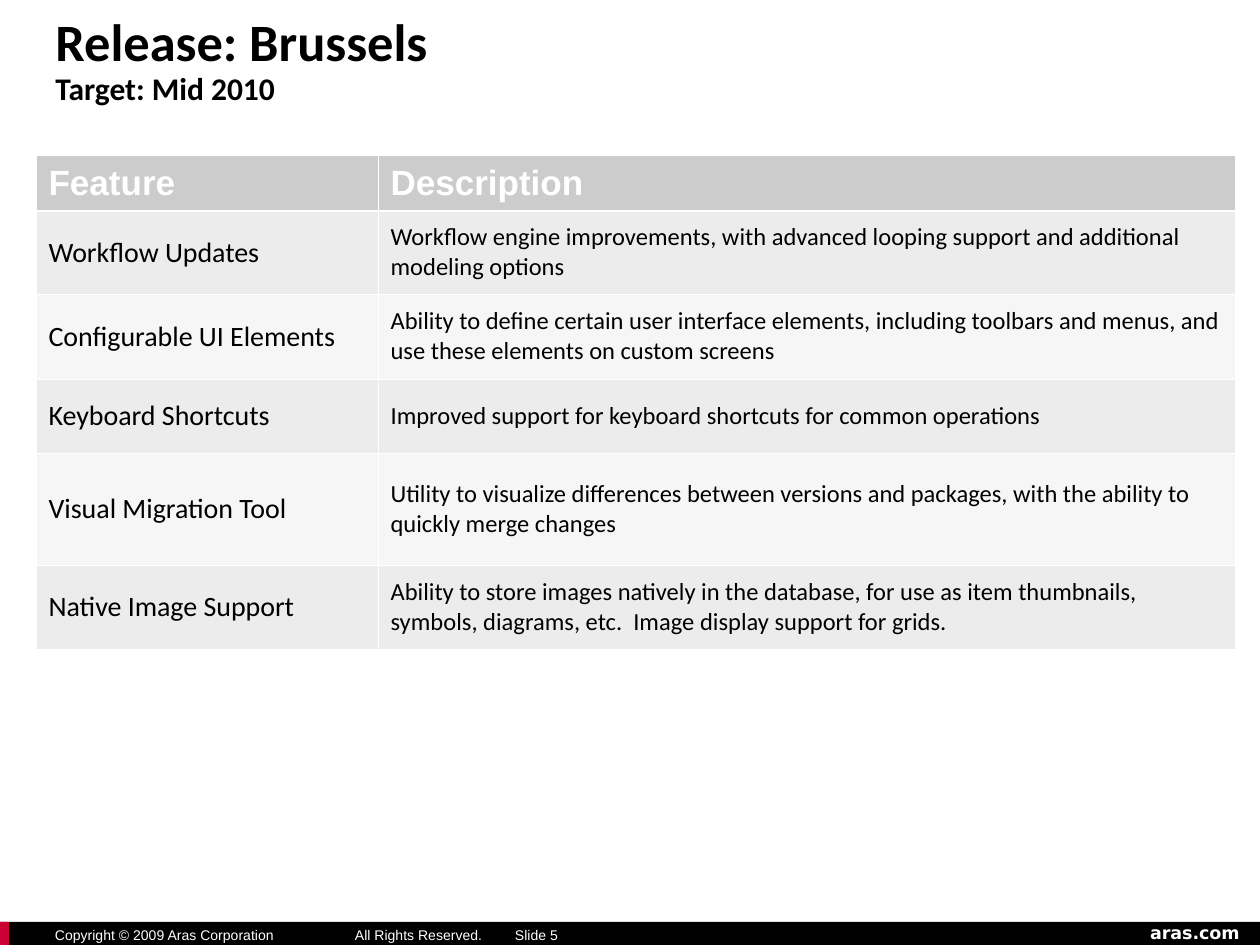
from lxml.etree import SubElement as Sub
from pptx import Presentation
from pptx.dml.color import RGBColor
from pptx.enum.shapes import MSO_SHAPE as Shape
from pptx.enum.text import MSO_ANCHOR as Anchor
from pptx.oxml.ns import qn
from pptx.util import Emu, Pt

WHITE = RGBColor(0xFF, 0xFF, 0xFF)
BLACK = RGBColor(0, 0, 0)
RED = RGBColor(0xCC, 0x00, 0x33)
HEAD = RGBColor(0xCC, 0xCC, 0xCC)
BANDS = [RGBColor(0xEC, 0xEC, 0xEC), RGBColor(0xF6, 0xF6, 0xF6)]

# Content
TITLE = [("Release: Brussels", 30), ("Target: Mid 2010", 18)]
ROWS = [
    ("Feature", "Description"),
    ("Workflow Updates",
     "Workflow engine improvements, with advanced looping support and "
     "additional modeling options"),
    ("Configurable UI Elements",
     "Ability to define certain user interface elements, including toolbars "
     "and menus, and use these elements on custom screens"),
    ("Keyboard Shortcuts",
     "Improved support for keyboard shortcuts for common operations"),
    ("Visual Migration Tool",
     "Utility to visualize differences between versions and packages, with "
     "the ability to quickly merge changes"),
    ("Native Image Support",
     "Ability to store images natively in the database, for use as item "
     "thumbnails, symbols, diagrams, etc.  Image display support for grids."),
]
WIDTHS = [342, 857]
HEIGHTS = [56, 83, 85, 74, 112, 84]
SIZES = [16, 14]
BARS = [((0, 922, 1260, 23), BLACK), ((0, 922, 9, 23), RED)]
NOTES = [
    ("Copyright © 2009 Aras Corporation\tAll Rights Reserved.",
     (55, 927, 441, 18), 8, "Arial", False),
    ("Slide 5", (515, 927, 262, 18), 8, "Arial", False),
    ("aras.com", (1150, 922, 106, 22), 10, "DejaVu Sans", True),
]
TAB = 300


def px(n):
    return Emu(round(n * 9144000 / 1260))


def box(at, pad=True):
    frame = slide.shapes.add_textbox(*map(px, at)).text_frame
    frame.word_wrap = True
    if not pad:
        frame.margin_left = frame.margin_right = 0
        frame.margin_top = frame.margin_bottom = 0
    return frame


def write(para, text, size, face, color, bold=False):
    run = para.add_run()
    run.text = text
    font = run.font
    font.size, font.name, font.bold = Pt(size), face, bold
    font.color.rgb = color


def edge(cell, side, width):
    line = Sub(cell._tc.get_or_add_tcPr(), qn("a:ln" + side), w=str(Pt(width)))
    fill = Sub(line, qn("a:solidFill"))
    Sub(fill, qn("a:srgbClr"), val=str(WHITE))


deck = Presentation()
deck.slide_width, deck.slide_height = px(1260), px(945)
slide = deck.slides.add_slide(deck.slide_layouts[6])

# Footer bars
for at, color in BARS:
    bar = slide.shapes.add_shape(Shape.RECTANGLE, *map(px, at))
    bar.shadow.inherit = False
    bar.fill.solid()
    bar.fill.fore_color.rgb = color
    bar.line.fill.background()

# Footer text
for text, at, size, face, bold in NOTES:
    para = box(at, pad=False).paragraphs[0]
    if "\t" in text:
        tabs = Sub(para._p.get_or_add_pPr(), qn("a:tabLst"))
        Sub(tabs, qn("a:tab"), pos=str(px(TAB)), algn="l")
    write(para, text, size, face, WHITE, bold)

# Title
frame = box((43, 0, 820, 123))
frame.vertical_anchor = Anchor.MIDDLE
para = frame.paragraphs[0]
para.line_spacing = 0.9
for i, (text, size) in enumerate(TITLE):
    if i:
        para.add_line_break()
    write(para, text, size, "Calibri", BLACK, True)

# Feature table
table = slide.shapes.add_table(
    len(ROWS), len(WIDTHS), px(36), px(155),
    px(sum(WIDTHS)), px(sum(HEIGHTS))).table
table.horz_banding = False
for col, width in zip(table.columns, WIDTHS):
    col.width = px(width)
for r, (row, high) in enumerate(zip(ROWS, HEIGHTS)):
    table.rows[r].height = px(high)
    for c, text in enumerate(row):
        cell = table.cell(r, c)
        cell.vertical_anchor = Anchor.MIDDLE
        for side in "LRTB":
            thick = (r, side) in [(0, "B"), (1, "T")]
            edge(cell, side, 1.47 if thick else 0.45)
        cell.fill.solid()
        cell.fill.fore_color.rgb = BANDS[(r - 1) % 2] if r else HEAD
        para = cell.text_frame.paragraphs[0]
        if r:
            write(para, text, SIZES[c], "Calibri", BLACK)
        else:
            write(para, text, 20, "Arial", WHITE, True)

deck.save("out.pptx")
